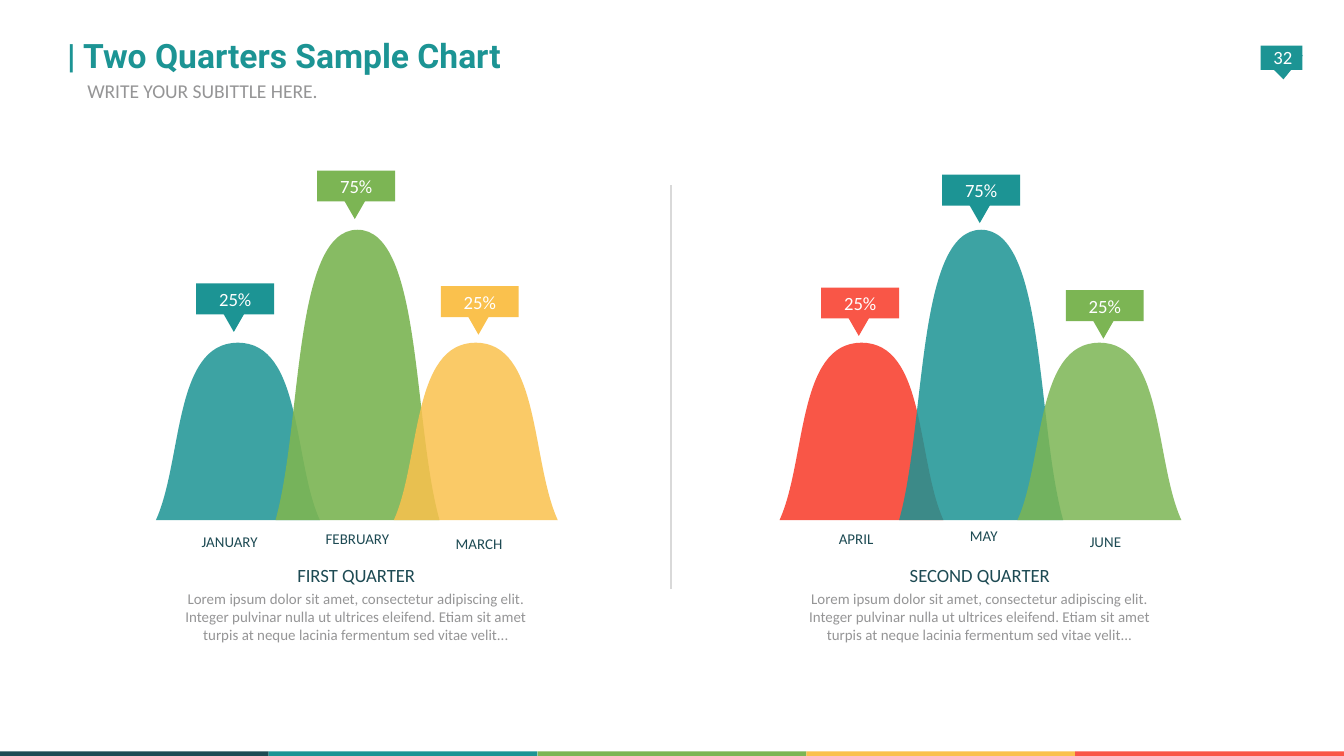
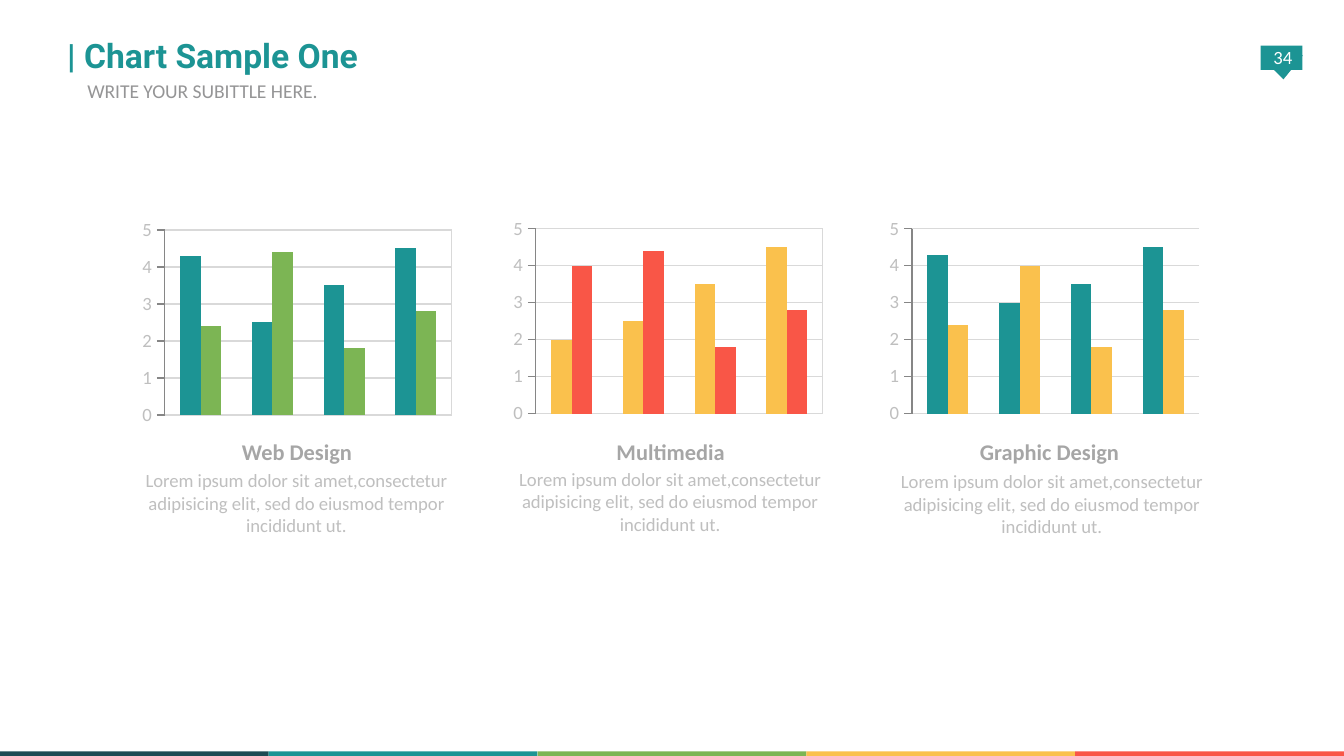
from lxml import etree
from pptx import Presentation
from pptx.chart.data import CategoryChartData
from pptx.dml.color import RGBColor
from pptx.enum.chart import XL_CHART_TYPE, XL_TICK_MARK
from pptx.enum.shapes import MSO_CONNECTOR, MSO_SHAPE
from pptx.enum.text import MSO_ANCHOR, PP_ALIGN
from pptx.oxml import parse_xml
from pptx.oxml.ns import nsdecls, qn
from pptx.util import Inches, Pt

RECTANGLE, TRIANGLE = MSO_SHAPE.RECTANGLE, MSO_SHAPE.ISOSCELES_TRIANGLE
LEFT, CENTER = PP_ALIGN.LEFT, PP_ALIGN.CENTER
TOP, MIDDLE = MSO_ANCHOR.TOP, MSO_ANCHOR.MIDDLE
COLUMNS = XL_CHART_TYPE.COLUMN_CLUSTERED
TICK_OUTSIDE, TICK_NONE = XL_TICK_MARK.OUTSIDE, XL_TICK_MARK.NONE
STRAIGHT = MSO_CONNECTOR.STRAIGHT

COLORS = {
    "navy": "1D4A53", "teal": "1C9494", "green": "7CB554", "yellow": "FAC14D",
    "red": "F95647", "white": "FFFFFF", "subtitle": "959596", "heading": "A6A6A6",
    "body": "BFBFBF", "rule": "D9D9D9", "axis": "868686",
}
BAND = ("navy", "teal", "green", "yellow", "red")
NO_INSETS = (0, 0, 0, 0)
TEXT_INSETS = (0.1, 0.05, 0.1, 0.05)
TITLE_INSETS = (0, 0, 0.1, 0)
CAPTION_INSETS = (0, 0.05, 0, 0)

HILL_WIDTH, HILL_BASE = 1.22, 3.87
HILLS = ((0, 1.32), (0.89, 2.16), (1.77, 1.32))  # offset, height
CALLOUTS = ((0, 0, "25%"), (0.9, -0.84, "75%"), (1.82, 0.02, "25%"))
MONTH_BOXES = ((0, 0, 0.96), (0.99, -0.02, 0.88), (1.83, 0.02, 1.01))

QUARTER_TEXT = (
    "Lorem ipsum dolor sit amet, consectetur adipiscing elit. Integer pulvinar nulla ut "
    "ultrices eleifend. Etiam sit amet turpis at neque lacinia fermentum sed vitae velit..."
)
CHART_TEXT = (
    "Lorem ipsum dolor sit amet,consectetur adipisicing elit, "
    "sed do eiusmod tempor incididunt ut."
)


def rgb(name):
    return RGBColor.from_string(COLORS[name])


def set_font(font, size, color, name="Calibri", bold=False):
    font.size, font.name, font.bold = Pt(size), name, bold
    font.color.rgb = rgb(color)


def write(frame, lines, align, insets=NO_INSETS, anchor=TOP, gap=0, **style):
    """Fill a frame with (text, size, color) lines, gap points apart."""
    frame.word_wrap = True
    frame.vertical_anchor = anchor
    frame.margin_left, frame.margin_top, frame.margin_right, frame.margin_bottom = map(
        Inches, insets)
    frame.text = "\n".join(line[0] for line in lines)
    for index, (para, (_, size, color)) in enumerate(zip(frame.paragraphs, lines)):
        para.alignment = align
        if index:
            para.space_before = Pt(gap)
        for span in para.runs:
            set_font(span.font, size, color, **style)


def add_text(shapes, at, lines, align=CENTER, **options):
    box = shapes.add_textbox(*map(Inches, at))
    write(box.text_frame, lines, align, **options)


def paint(shape, color):
    shape.shadow.inherit = False
    shape.fill.solid()
    shape.fill.fore_color.rgb = rgb(color)
    shape.line.fill.background()


def add_block(shapes, kind, at, color, rotation=0):
    shape = shapes.add_shape(kind, *map(Inches, at))
    paint(shape, color)
    shape.rotation = rotation
    return shape


def add_hill(shapes, left, height, color, opacity):
    """Draw a bell outline from two cubic curves on a flat base."""
    top, shoulder = HILL_BASE - height, HILL_BASE - height / 3
    middle = left + HILL_WIDTH / 2
    points = [
        (left + 0.2, shoulder), (left + 0.13, top), (middle, top),
        (left + HILL_WIDTH - 0.13, top), (left + HILL_WIDTH - 0.2, shoulder),
        (left + HILL_WIDTH, HILL_BASE),
    ]
    builder = shapes.build_freeform(Inches(left), Inches(HILL_BASE))
    builder.add_line_segments([(Inches(x), Inches(y)) for x, y in points], close=True)
    hill = builder.convert_to_shape()
    paint(hill, color)
    segments = list(hill._element.iter(qn("a:lnTo")))
    for start in (0, 3):
        curve = etree.Element(qn("a:cubicBezTo"))
        segments[start].addprevious(curve)
        for segment in segments[start:start + 3]:
            curve.append(segment[0])
            segment.getparent().remove(segment)
    if opacity < 100:
        fill = hill._element.spPr.find(qn("a:solidFill"))
        etree.SubElement(fill[0], qn("a:alpha")).set("val", str(opacity * 1000))


def add_callout(page, left, top, label, color):
    shapes = page.shapes.add_group_shape().shapes
    add_block(shapes, TRIANGLE, (left + 0.16, top + 0.15, 0.24, 0.21), color, 180)
    flag = add_block(shapes, RECTANGLE, (left, top, 0.58, 0.23), color)
    write(flag.text_frame, [(label, 10, "white")], CENTER, anchor=MIDDLE)


def add_quarter(page, left, callout_at, months_at, name, months, colors, opacities):
    for (offset, height), color, opacity in zip(HILLS, colors, opacities):
        add_hill(page.shapes, left + offset, height, color, opacity)
    for (dx, dy, label), color in zip(CALLOUTS, colors):
        add_callout(page, callout_at[0] + dx, callout_at[1] + dy, label, color)
    for (dx, dy, width), month in zip(MONTH_BOXES, months):
        add_text(page.shapes, (months_at[0] + dx, months_at[1] + dy, width, 0.31),
                 [(month, 8, "navy")], insets=TEXT_INSETS)
    add_text(page.shapes, (left, 4.15, 2.98, 0.83),
             [(name, 10, "navy"), (QUARTER_TEXT, 8, "subtitle")],
             insets=TEXT_INSETS, gap=1.6)


def add_divider(page):
    line = page.shapes.add_connector(
        STRAIGHT, Inches(4.99), Inches(1.38), Inches(4.99), Inches(4.38))
    line.line.color.rgb = rgb("rule")
    line.line.width = Pt(1)
    etree.SubElement(line._element.spPr, qn("a:effectLst"))


def style_plot_area(chart, framed):
    """Fix the inner plot position and, if framed, outline it."""
    area = chart._chartSpace.chart.plotArea
    for old in area.findall(qn("c:layout")):
        area.remove(old)
    places = {"x": 0.09, "y": 0.07, "w": 0.89, "h": 0.86}
    area.insert(0, parse_xml(
        f'<c:layout {nsdecls("c")}><c:manualLayout><c:layoutTarget val="inner"/>'
        '<c:xMode val="edge"/><c:yMode val="edge"/>'
        + "".join(f'<c:{key} val="{value}"/>' for key, value in places.items())
        + "</c:manualLayout></c:layout>"))
    if framed:
        area.append(parse_xml(
            f'<c:spPr {nsdecls("c", "a")}><a:noFill/><a:ln w="9525"><a:solidFill>'
            f'<a:srgbClr val="{COLORS["rule"]}"/></a:solidFill></a:ln></c:spPr>'))


def add_column_chart(page, left, top, series, framed):
    data = CategoryChartData()
    data.categories = ["1", "2", "3", "4"]
    for number, (values, _) in enumerate(series, 1):
        data.add_series(f"Series {number}", values)
    chart = page.shapes.add_chart(
        COLUMNS, *map(Inches, (left, top, 2.4, 1.6)), data).chart
    chart.has_legend = chart.has_title = False
    set_font(chart.font, 10, "body")
    plot = chart.plots[0]
    plot.vary_by_categories = False
    plot.gap_width, plot.overlap = 150, 0
    for bars, (_, color) in zip(plot.series, series):
        bars.format.fill.solid()
        bars.format.fill.fore_color.rgb = rgb(color)
    chart.category_axis.visible = False
    axis = chart.value_axis
    axis.minimum_scale, axis.maximum_scale, axis.major_unit = 0, 5, 1
    axis.major_tick_mark, axis.minor_tick_mark = TICK_OUTSIDE, TICK_NONE
    axis.tick_labels.number_format = "General"
    axis.tick_labels.number_format_is_linked = False
    set_font(axis.tick_labels.font, 10, "body")
    axis.has_major_gridlines = True
    for line, color in ((axis.format.line, "axis"),
                        (axis.major_gridlines.format.line, "rule")):
        line.color.rgb = rgb(color)
        line.width = Pt(0.75)
    style_plot_area(chart, framed)


def add_caption(page, heading_left, body_left, body_top, heading):
    shapes = page.shapes.add_group_shape().shapes
    add_text(shapes, (heading_left, 3.21, 2.7, 0.25), [(heading, 12, "heading")],
             insets=CAPTION_INSETS, bold=True)
    add_text(shapes, (body_left, body_top, 2.31, 0.56), [(CHART_TEXT, 10, "body")],
             insets=CAPTION_INSETS)


def add_page(deck, title, number):
    """Add a slide with the colour band, page marker, title and subtitle."""
    page = deck.slides.add_slide(deck.slide_layouts[6])
    band = page.shapes.add_group_shape().shapes
    for index, color in enumerate(BAND):
        add_block(band, RECTANGLE, (2 * index, 5.59, 2, 0.08), color)
    add_block(page.shapes, RECTANGLE, (9.38, 0.34, 0.31, 0.18), "teal")
    add_block(page.shapes, TRIANGLE, (9.39, 0.42, 0.31, 0.17), "teal", 176.8)
    add_text(page.shapes, (9.4, 0.3, 0.29, 0.3), [(number, 10, "white")],
             insets=(0, 0, 0, 0.05), anchor=MIDDLE)
    add_text(page.shapes, (0.5, 0.26, 7.51, 0.4), [(f"| {title}", 18, "teal")], LEFT,
             insets=TITLE_INSETS, name="Roboto", bold=True)
    add_text(page.shapes, (0.65, 0.59, 7.34, 0.29),
             [("WRITE YOUR SUBITTLE HERE.", 10.5, "subtitle")], LEFT, insets=TITLE_INSETS)
    return page


def build_quarters(deck):
    page = add_page(deck, "Two Quarters Sample Chart", "32")
    add_quarter(page, 1.16, (1.46, 2.11), (1.23, 3.91), "FIRST QUARTER",
                ("JANUARY", "FEBRUARY", "MARCH"), ("teal", "green", "yellow"), (85, 91, 85))
    add_quarter(page, 5.8, (6.11, 2.14), (5.89, 3.89), "SECOND QUARTER",
                ("APRIL", "MAY", "JUNE"), ("red", "teal", "green"), (100, 85, 85))
    add_divider(page)


def build_charts(deck):
    page = add_page(deck, "Chart Sample One", "34")
    add_column_chart(page, 1.01, 1.6, [((4.3, 2.5, 3.5, 4.5), "teal"),
                                       ((2.4, 4.4, 1.8, 2.8), "green")], True)
    add_column_chart(page, 3.77, 1.59, [((2, 2.5, 3.5, 4.5), "yellow"),
                                        ((4, 4.4, 1.8, 2.8), "red")], True)
    add_column_chart(page, 6.57, 1.59, [((4.3, 3, 3.5, 4.5), "teal"),
                                        ((2.4, 4, 1.8, 2.8), "yellow")], False)
    add_caption(page, 0.86, 1.05, 3.44, "Web Design")
    add_caption(page, 3.64, 3.83, 3.43, "Multimedia")
    add_caption(page, 6.46, 6.67, 3.45, "Graphic Design")


def main():
    deck = Presentation()
    deck.slide_width = Inches(10)
    deck.slide_height = deck.slide_width * 9 // 16
    build_quarters(deck)
    build_charts(deck)
    deck.save("out.pptx")


if __name__ == "__main__":
    main()
